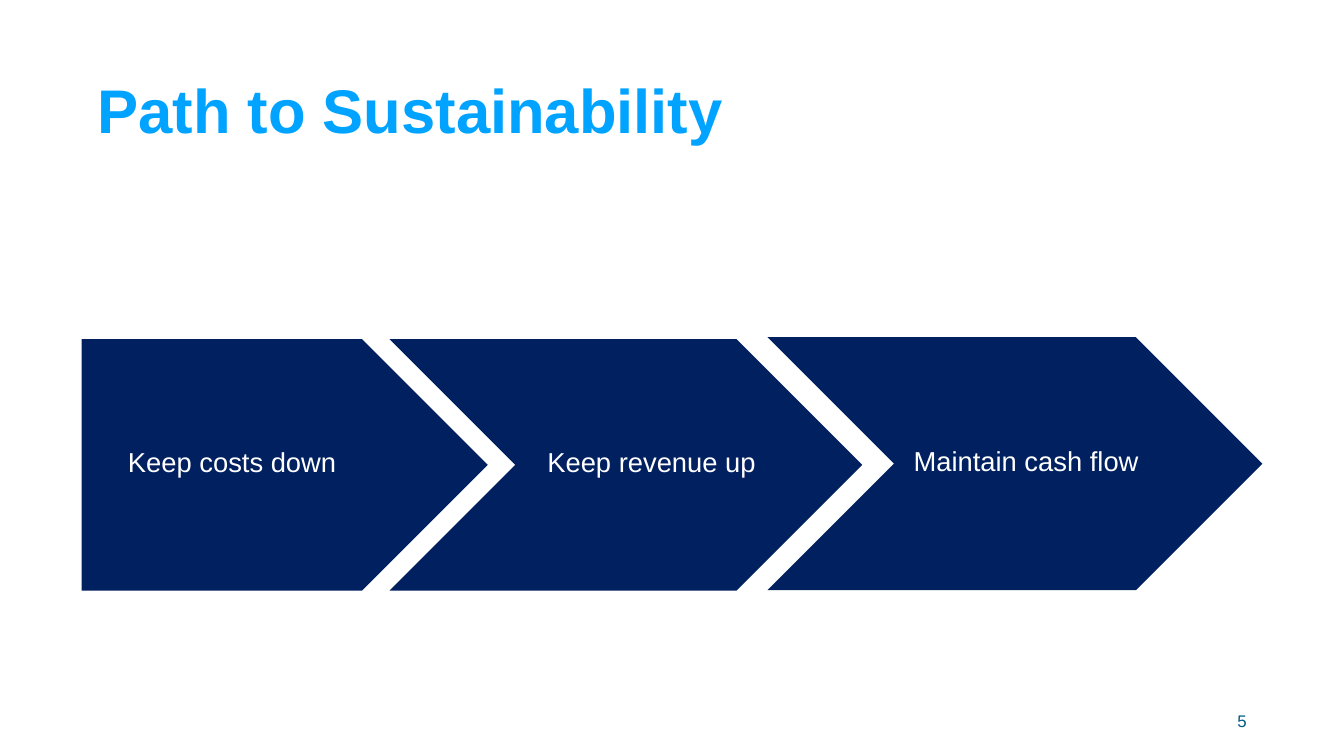
from dataclasses import dataclass

from pptx import Presentation
from pptx.dml.color import RGBColor
from pptx.enum.shapes import MSO_SHAPE
from pptx.enum.text import MSO_ANCHOR, MSO_AUTO_SIZE, PP_ALIGN
from pptx.util import Pt

# Content: boxes are left, top, width, height in px
SLIDE_SIZE = (2667, 1500)
TITLE = ("Path to Sustainability", (183, 80, 2064, 290))
PAGE_NUMBER = ("5", (1884, 1390, 600, 80))
LABEL_SIZE = (658, 92)
STEPS = [
    # label, arrow preset, arrow box, label left and top, alignment
    ("Keep costs down", MSO_SHAPE.PENTAGON, (162, 673, 806, 499), (244, 876), PP_ALIGN.LEFT),
    ("Keep revenue up", MSO_SHAPE.CHEVRON, (773, 673, 938, 499), (964, 876), PP_ALIGN.CENTER),
    ("Maintain cash flow", MSO_SHAPE.CHEVRON, (1523, 669, 982, 502), (1803, 874), PP_ALIGN.LEFT),
]


@dataclass(frozen=True)
class Theme:
    font: str = "Arial"
    title_color: str = "00A3FF"
    arrow_color: str = "002060"
    label_color: str = "FFFFFF"
    number_color: str = "005A83"
    title_size: float = 88
    label_size: float = 39.1
    number_size: float = 24


THEME = Theme()
EMU_PER_PX = 9144


def emu(lengths):
    return [length * EMU_PER_PX for length in lengths]


def write(holder, text, size, color, align=PP_ALIGN.LEFT, spacing=1.0, bold=False):
    frame = holder.text_frame
    frame.text = text
    frame.word_wrap = True
    frame.auto_size = MSO_AUTO_SIZE.NONE
    frame.vertical_anchor = MSO_ANCHOR.MIDDLE
    paragraph = frame.paragraphs[0]
    paragraph.alignment = align
    paragraph.line_spacing = spacing
    font = paragraph.runs[0].font
    font.name, font.size, font.bold = THEME.font, Pt(size), bold
    font.color.rgb = RGBColor.from_string(color)


def add_step(slide, label, preset, arrow_box, label_corner, align):
    arrow = slide.shapes.add_shape(preset, *emu(arrow_box))
    arrow.adjustments[0] = 0.5
    arrow.shadow.inherit = False
    arrow.fill.solid()
    arrow.fill.fore_color.rgb = RGBColor.from_string(THEME.arrow_color)
    arrow.line.fill.background()
    caption = slide.shapes.add_textbox(*emu(label_corner + LABEL_SIZE))
    write(caption, label, THEME.label_size, THEME.label_color, align, spacing=0.8)


def main():
    deck = Presentation()
    deck.slide_width, deck.slide_height = emu(SLIDE_SIZE)
    slide = deck.slides.add_slide(deck.slide_layouts.get_by_name("Title Only"))

    # Title
    heading, heading_box = TITLE
    title = slide.shapes.title
    title.left, title.top, title.width, title.height = emu(heading_box)
    write(title, heading, THEME.title_size, THEME.title_color, spacing=0.9, bold=True)

    # Arrows with their labels
    for step in STEPS:
        add_step(slide, *step)

    # Page number
    number, number_box = PAGE_NUMBER
    footer = slide.shapes.add_textbox(*emu(number_box))
    write(footer, number, THEME.number_size, THEME.number_color, PP_ALIGN.RIGHT)

    deck.save("out.pptx")


if __name__ == "__main__":
    main()
